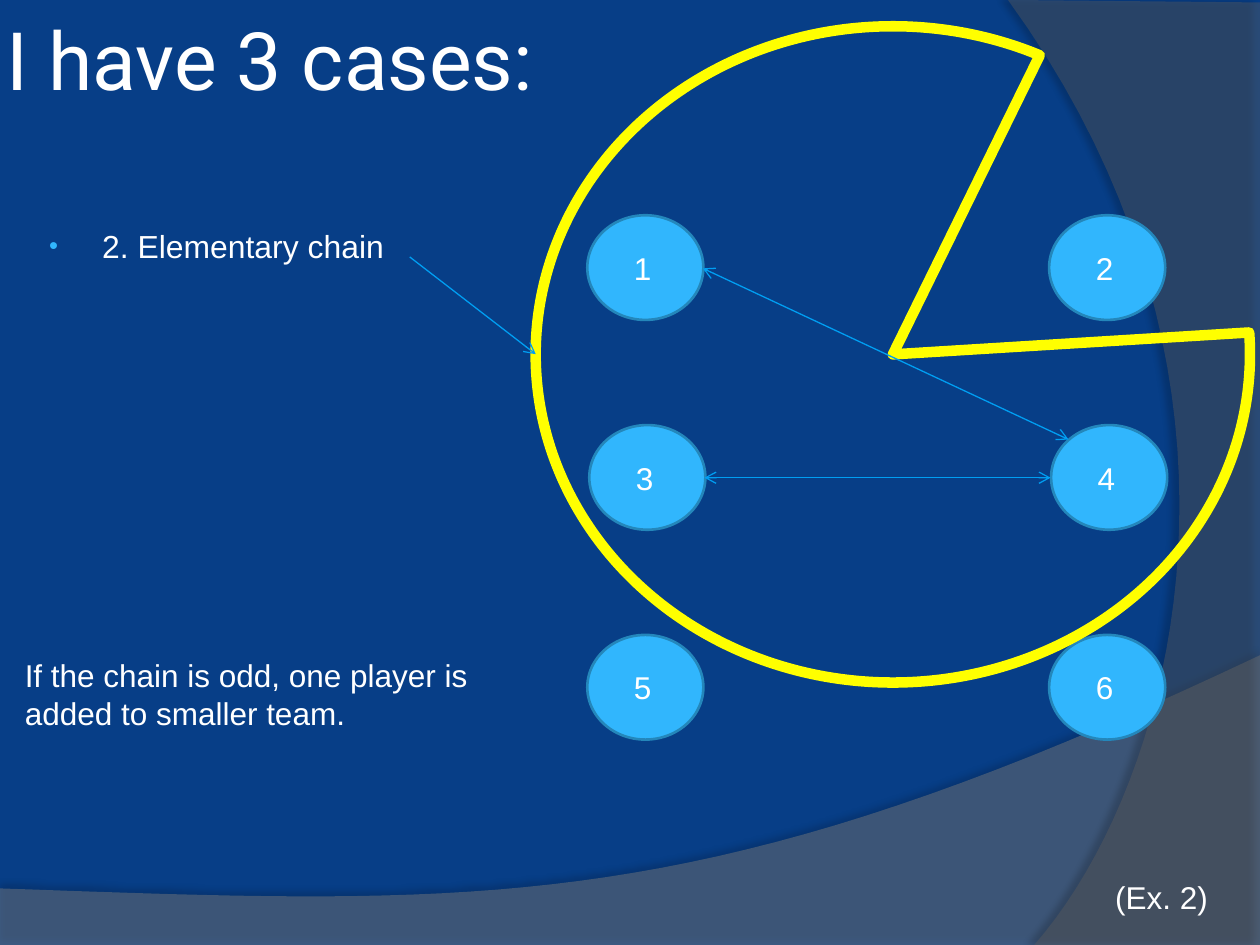
"""Build the slide on the elementary chain case, with six numbered players."""
from lxml import etree
from pptx import Presentation
from pptx import util as u
from pptx.dml.color import RGBColor
from pptx.enum import shapes, text
from pptx.oxml.ns import qn

WHITE, SKY, RIM, ARROW, YELLOW, NAVY = "FFFFFF", "31B6FD", "2487BB", "009EF2", "FFFF00", "073E87"

TITLE = "I have 3 cases:"
BULLET = "2. Elementary chain"
NOTES = [
    ("(Ex. 2)", (22.23, 17.58, 2.54, 1.02)),
    ("If the chain is odd, one player is added to smaller team.", (0.25, 13.11, 10.95, 1.8)),
]
SWOOPS = [
    {"corners": [(0, 17.91), (0, 19.08), (25.4, 19.08), (25.4, 13.21)],
     "curve": [(14.2, 18.52), (9.93, 18.26), (0, 17.91)],
     "color": "7F7F7F", "opacity": 45, "shadow": (35, 3.5, 270)},
    {"corners": [(25.4, 0.05), (25.4, 19.05), (20.85, 19.05)],
     "curve": [(23.75, 15.72), (25.86, 7.62), (20.32, 0)],
     "color": "5E5E5E", "opacity": 40, "shadow": (45, 4, 180)},
]
PLAYERS = [("1", "2"), ("3", "4"), ("5", "6")]
COLUMNS, FIRST_ROW, ROW_STEP = (11.84, 21.15), 4.34, 4.23
ROW_SHIFTS = (0, 0.04, 0)
CIRCLE = (2.34, 2.11)
LABEL_OFFSET, LABEL = (0.69, 0.55), (0.97, 1.02)
CHAIN = (10.8, 0.53, 14.4, 13.23)
CHAIN_ANGLES = (213.889, 177.696)
ARROWS = [
    ((14.17, 5.41), (21.54, 8.86), ("headEnd", "tailEnd")),
    ((14.2, 9.63), (21.18, 9.63), ("headEnd", "tailEnd")),
    ((8.26, 5.18), (10.8, 7.14), ("tailEnd",)),
]


def color(value):
    return RGBColor.from_string(value)


def lengths(values):
    return [u.Cm(value) for value in values]


def child(parent, tag, **attributes):
    return etree.SubElement(parent, qn(tag), {key: str(value) for key, value in attributes.items()})


def write(para, words, size=18, font="Arial"):
    span = para.add_run()
    span.text = words
    span.font.size, span.font.name = u.Pt(size), font
    span.font.color.rgb = color(WHITE)


def add_text(slide, words, place, size=18):
    box = slide.shapes.add_textbox(*lengths(place))
    box.text_frame.word_wrap = True
    para = box.text_frame.paragraphs[0]
    write(para, words, size)
    return para


def add_outline(slide, kind, place, line, width):
    shape = slide.shapes.add_shape(kind, *lengths(place))
    shape.shadow.inherit = False
    shape.line.color.rgb, shape.line.width = color(line), u.Pt(width)
    return shape


def bezier(start, curve, steps=40):
    for step in range(1, steps + 1):
        t = step / steps
        weights = ((1 - t) ** 3, 3 * t * (1 - t) ** 2, 3 * t * t * (1 - t), t ** 3)
        yield tuple(sum(w * point[axis] for w, point in zip(weights, (start, *curve))) for axis in (0, 1))


def add_swoop(slide, swoop):
    corners = swoop["corners"]
    points = [lengths(point) for point in (*corners, *bezier(corners[-1], swoop["curve"]))]
    builder = slide.shapes.build_freeform(*points[0])
    builder.add_line_segments(points[1:], close=True)
    shape = builder.convert_to_shape()
    shape.fill.solid()
    shape.fill.fore_color.rgb = color(swoop["color"])
    shape.line.fill.background()
    shape.shadow.inherit = False
    properties = shape._element.spPr
    tint = properties.find(qn("a:solidFill")).find(qn("a:srgbClr"))
    child(tint, "a:alpha", val=swoop["opacity"] * 1000)
    opacity, distance, angle = swoop["shadow"]
    shadow = child(properties.find(qn("a:effectLst")), "a:outerShdw", blurRad=u.Pt(4),
                   dist=u.Pt(distance), dir=angle * 60000, rotWithShape=0)
    child(child(shadow, "a:srgbClr", val="000000"), "a:alpha", val=opacity * 1000)


def add_title(slide):
    title = slide.shapes.title
    title.left, title.top, title.width, title.height = lengths((0, 0, 22.66, 2.34))
    frame = title.text_frame
    frame.margin_left = frame.margin_right = frame.margin_top = frame.margin_bottom = u.Cm(0.13)
    frame.vertical_anchor = text.MSO_ANCHOR.MIDDLE
    frame.paragraphs[0].alignment = text.PP_ALIGN.LEFT
    write(frame.paragraphs[0], TITLE, 46, "Roboto")


def add_bullet(slide):
    para = add_text(slide, BULLET, (0.64, 4.45, 7.62, 1.47), 18.2)
    para.space_before = u.Pt(3.6)
    properties = para._p.get_or_add_pPr()
    properties.set("marL", str(u.Cm(1.17)))
    properties.set("indent", str(u.Cm(-1.07)))
    child(child(properties, "a:buClr"), "a:srgbClr", val=SKY)
    child(properties, "a:buSzPct", val=80000)
    child(properties, "a:buFont", typeface="Arial")
    child(properties, "a:buChar", char="•")


def add_players(slide):
    for row, names in enumerate(PLAYERS):
        for name, column in zip(names, COLUMNS):
            left, top = column + ROW_SHIFTS[row], FIRST_ROW + row * ROW_STEP
            circle = add_outline(slide, shapes.MSO_SHAPE.OVAL, (left, top, *CIRCLE), RIM, 1.5)
            circle.fill.solid()
            circle.fill.fore_color.rgb = color(SKY)
            add_text(slide, name, (left + LABEL_OFFSET[0], top + LABEL_OFFSET[1], *LABEL))


def add_chain(slide):
    chain = add_outline(slide, shapes.MSO_SHAPE.PIE, CHAIN, YELLOW, 6)
    chain.fill.background()
    for index, angle in enumerate(CHAIN_ANGLES):
        chain.adjustments[index] = angle


def add_arrow(slide, start, end, heads):
    arrow = slide.shapes.add_connector(shapes.MSO_CONNECTOR.STRAIGHT, *lengths((*start, *end)))
    arrow.line.color.rgb, arrow.line.width = color(ARROW), u.Pt(0.75)
    for head in heads:
        child(arrow.line._get_or_add_ln(), "a:" + head, type="arrow")
    child(arrow._element.spPr, "a:effectLst")


def main():
    deck = Presentation()
    deck.slide_width, deck.slide_height = lengths((25.4, 19.05))
    slide = deck.slides.add_slide(deck.slide_layouts[5])
    slide.background.fill.solid()
    slide.background.fill.fore_color.rgb = color(NAVY)
    for swoop in SWOOPS:
        add_swoop(slide, swoop)
    add_title(slide)
    add_bullet(slide)
    add_players(slide)
    for words, place in NOTES:
        add_text(slide, words, place)
    add_chain(slide)
    for start, end, heads in ARROWS:
        add_arrow(slide, start, end, heads)
    deck.save("out.pptx")


if __name__ == "__main__":
    main()
